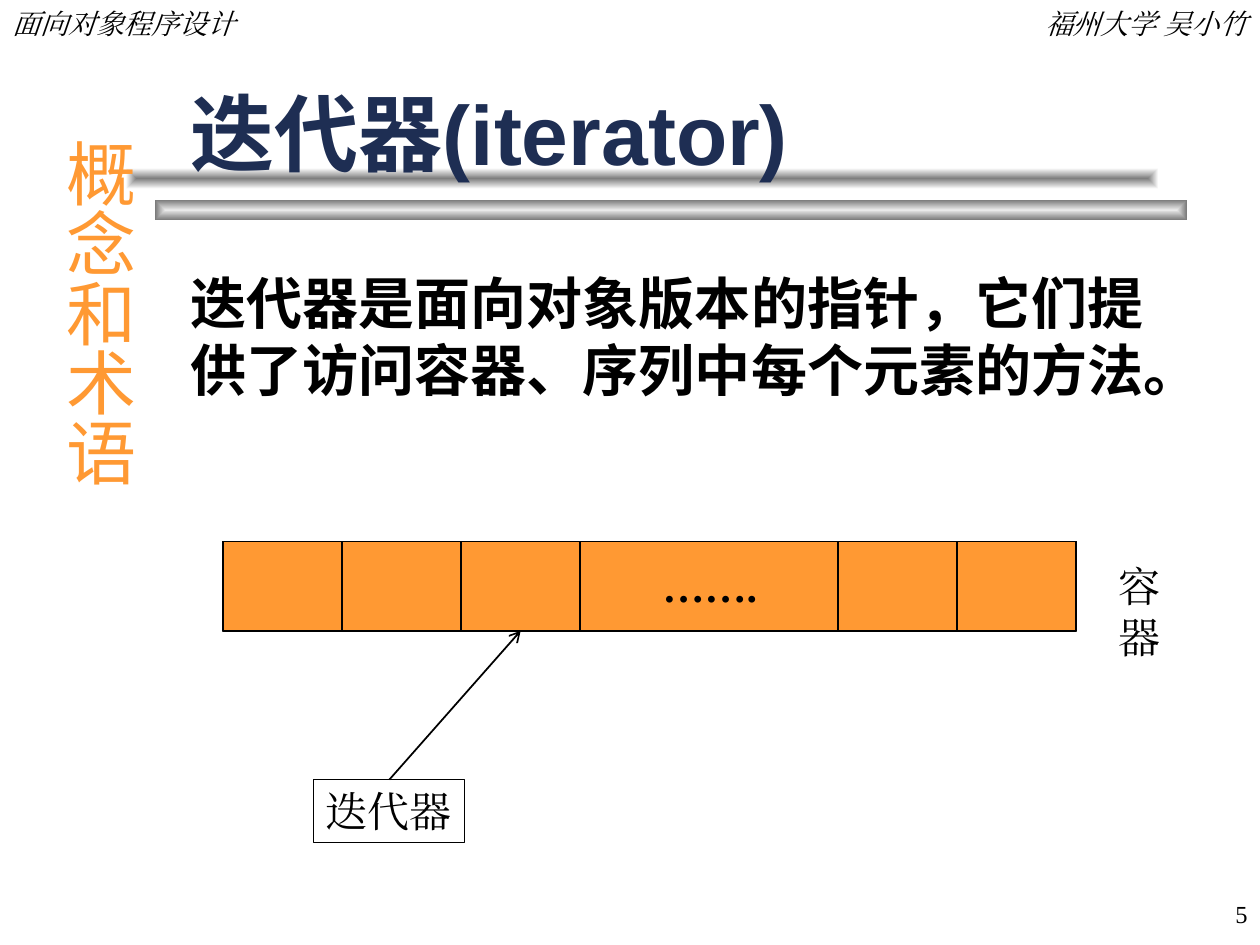
import pptx
import pptx.util
import pptx.dml.color
import pptx.enum.shapes
import pptx.enum.text
import pptx.oxml
import pptx.oxml.ns

Pt = pptx.util.Pt
RGB = pptx.dml.color.RGBColor
ALIGN = pptx.enum.text.PP_ALIGN
ANCHOR = pptx.enum.text.MSO_ANCHOR
RECT = pptx.enum.shapes.MSO_SHAPE.RECTANGLE
NS = pptx.oxml.ns.nsdecls("a")

BLACK = RGB(0, 0, 0)
NAVY = RGB(0x1E, 0x2E, 0x53)
ORANGE = RGB(0xFF, 0x99, 0x33)
SERIF, SANS, CJK = "Times New Roman", "Arial", "Noto Sans CJK SC"

deck = pptx.Presentation()
deck.slide_width, deck.slide_height = Pt(720), Pt(540)
slide = deck.slides.add_slide(deck.slide_layouts[6])
shapes = slide.shapes


def add_text(x, y, w, h, text, size, font=SERIF, color=BLACK, bold=False,
             italic=False, align=ALIGN.LEFT, anchor=ANCHOR.TOP, wrap=True):
    box = shapes.add_textbox(Pt(x), Pt(y), Pt(w), Pt(h))
    frame = box.text_frame
    frame.word_wrap = wrap
    frame.vertical_anchor = anchor
    par = frame.paragraphs[0]
    par.alignment = align
    run = par.add_run()
    run.text = text
    run.font.size = Pt(size)
    run.font.name = font
    run.font.bold = bold
    run.font.italic = italic
    run.font.color.rgb = color
    # The same face for East Asian letters
    run.font._element.append(
        pptx.oxml.parse_xml(f'<a:ea {NS} typeface="{font}"/>'))
    return box


def add_rect(x, y, w, h):
    rect = shapes.add_shape(RECT, Pt(x), Pt(y), Pt(w), Pt(h))
    rect.shadow.inherit = False
    return rect


# Two bars under the title, shaded from the centre out
for x, y, inner, outer in [(88.5, 114, "EAEAEA", "757575"),
                           (72, 96, "7F7F7F", "FFFFFF")]:
    bar = add_rect(x, y, 590, 12)
    bar.line.fill.background()
    bar.fill.background()
    props = bar._element.spPr
    blank = props.find(pptx.oxml.ns.qn("a:noFill"))
    props.replace(blank, pptx.oxml.parse_xml(
        f'<a:gradFill {NS} rotWithShape="1"><a:gsLst>'
        f'<a:gs pos="0"><a:srgbClr val="{inner}"/></a:gs>'
        f'<a:gs pos="100000"><a:srgbClr val="{outer}"/></a:gs></a:gsLst>'
        '<a:path path="rect"><a:fillToRect l="50000" t="50000" r="50000" '
        'b="50000"/></a:path></a:gradFill>'))

# Header and page number
add_text(0, 0, 222, 26.5, "面向对象程序设计", 16, italic=True)
add_text(498, 0, 222, 26.5, "福州大学 吴小竹", 16, italic=True,
         align=ALIGN.RIGHT)
add_text(570, 504, 150, 36, "5", 14, align=ALIGN.RIGHT,
         anchor=ANCHOR.MIDDLE)

# Title and body
add_text(102, 18, 564, 90, "迭代器(iterator)", 48, SANS, NAVY, bold=True,
         anchor=ANCHOR.BOTTOM)
body = add_text(
    102, 150, 570, 324,
    "迭代器是面向对象版本的指针，它们提供了访问容器、序列中每个元素的方法。",
    32, SANS, bold=True)

# Upright section name
side = add_text(21.5, 72, 62.5, 390, "概念和术语", 40, CJK, ORANGE,
                align=ALIGN.CENTER)
frame = side.text_frame
frame._txBody.bodyPr.set("vert", "eaVert")
frame.margin_left = frame.margin_right = Pt(3.6)
frame.margin_top = frame.margin_bottom = Pt(7.2)

# Container: a full strip, three cells on the left, two on the right
left, top, width, high, cell = 127.5, 309.5, 487.5, 51, 68
right = left + width
strip = [(left, width)]
strip += [(left + i * cell, cell) for i in range(3)]
strip += [(right - i * cell, cell) for i in (2, 1)]
for x, w in strip:
    rect = add_rect(x, top, w, high)
    rect.fill.solid()
    rect.fill.fore_color.rgb = ORANGE
    rect.line.color.rgb = BLACK
    rect.line.width = Pt(1)
add_text(371.5, 317, 68.5, 36, "…….", 24, bold=True, wrap=False)
add_text(632, 317, 62, 36, "容器", 24, wrap=False)

# Iterator box and its arrow to the third cell
label = add_text(179, 445.5, 86.5, 36, "迭代器", 24, wrap=False)
label.line.color.rgb = BLACK
label.line.width = Pt(0.75)
arrow = shapes.add_connector(
    pptx.enum.shapes.MSO_CONNECTOR.STRAIGHT, Pt(222.5), Pt(445.5),
    Pt(left + 2.5 * cell), Pt(top + high))
arrow.line.color.rgb = BLACK
arrow.line.width = Pt(1)
arrow.line._get_or_add_ln().append(
    pptx.oxml.parse_xml(f'<a:tailEnd {NS} type="arrow"/>'))
arrow._element.spPr.append(pptx.oxml.parse_xml(f'<a:effectLst {NS}/>'))

deck.save("out.pptx")
